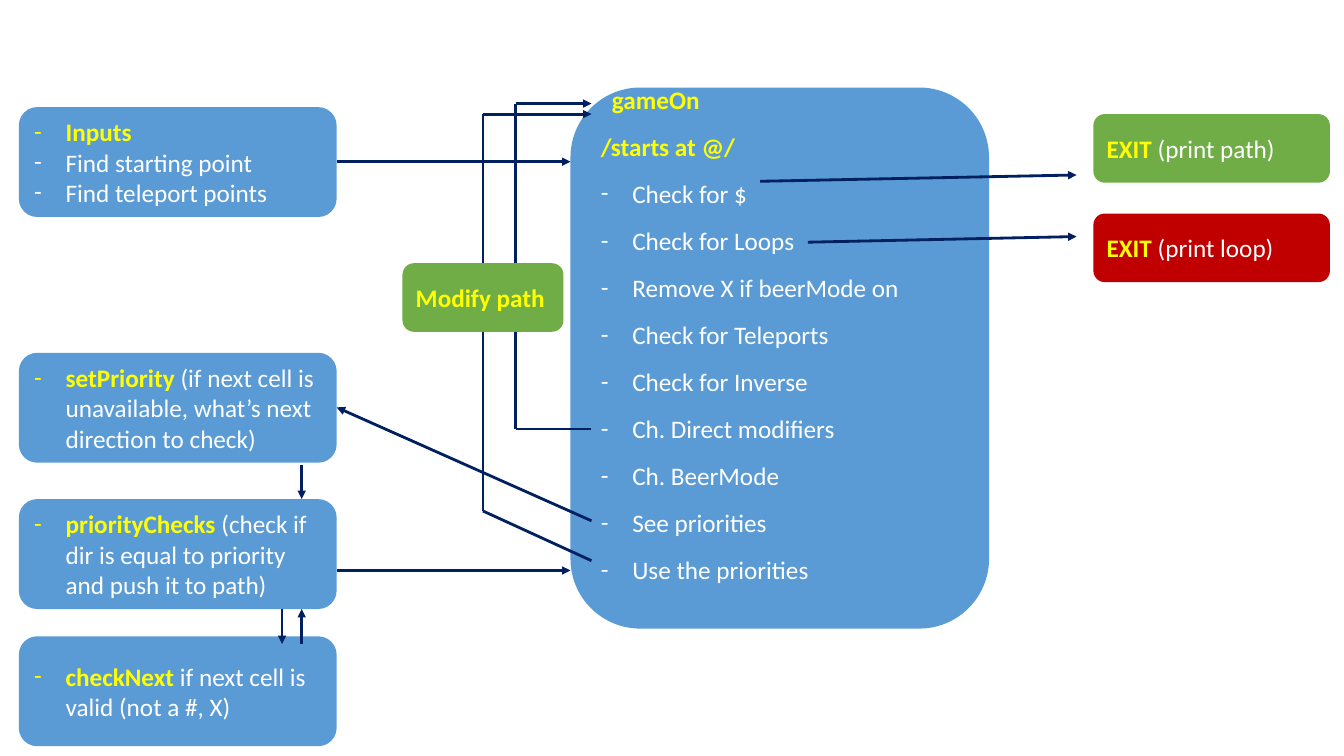
"""Build the game flow diagram slide."""
from lxml import etree
from pptx import Presentation
from pptx.dml.color import RGBColor
from pptx.enum.shapes import MSO_CONNECTOR, MSO_SHAPE
from pptx.enum.text import MSO_ANCHOR, PP_ALIGN
from pptx.oxml.ns import qn
from pptx.util import Pt

STRAIGHT, ROUNDED = MSO_CONNECTOR.STRAIGHT, MSO_SHAPE.ROUNDED_RECTANGLE
MIDDLE, LEFT = MSO_ANCHOR.MIDDLE, PP_ALIGN.LEFT
BLUE, GREEN, RED = "5B9BD5", "70AD47", "C00000"
NAVY, YELLOW, WHITE = "002060", "FFFF00", "FFFFFF"
FONT, SIZE, INDENT, GAP, LINE = "Calibri", 18, 22.5, 12, 21.6

# Each paragraph is (key words, plain words).
STEPS = [
    (76.5, [("Inputs", ""), ("", "Find starting point"), ("", "Find teleport points")]),
    (252, [("setPriority ", "(if next cell is unavailable, what’s next direction to check)")]),
    (356.5, [("priorityChecks ", "(check if dir is equal to priority and push it to path)")]),
    (454.5, [("checkNext ", "if next cell is valid (not a #, X)")]),
]
GAME_HEAD = [("gameOn", 8), ("/starts at @/", 0)]
GAME_CHECKS = [
    "Check for $", "Check for Loops", "Remove X if beerMode on", "Check for Teleports",
    "Check for Inverse", "Ch. Direct modifiers", "Ch. BeerMode", "See priorities",
    "Use the priorities",
]
EXITS = [(81.5, GREEN, "(print path)"), (152.5, RED, "(print loop)")]

STEP_X, STEP_W, STEP_H = 13.5, 227, 78.5
GAME_X, GAME_Y, GAME_W, GAME_H = 407.5, 62.5, 299, 386.5
EXIT_X, EXIT_W, TAG_H = 781, 169, 49
STEP_R = STEP_X + STEP_W
PORT_X, EXIT_TIP = 422.5, 769
DOWN_X, NEXT_X = 215.5, 201.5

ARROWS = [
    [(STEP_R, 115.5), (GAME_X, 115.5)],
    [(PORT_X, 306.5), (368.5, 306.5), (368.5, 74), (PORT_X, 74)],
    [(577, 173), (EXIT_TIP, 169)],
    [(543, 129.5), (EXIT_TIP, 125)],
    [(PORT_X, 372), (STEP_R, 291)],
    [(DOWN_X, 332), (DOWN_X, 356.5)],
    [(STEP_R, 407.5), (GAME_X, 407.5)],
    [(NEXT_X, 435), (NEXT_X, 460)],
    [(DOWN_X, 460), (DOWN_X, 435)],
    [(PORT_X, 400.5), (345, 365), (345, 81.5), (PORT_X, 81.5)],
]


def rgb(value):
    """Turn a hex string into a colour."""
    return RGBColor.from_string(value)


def add_box(x, y, w, h, fill):
    """Add a plain rounded box and return its text frame."""
    sp = s.shapes.add_shape(ROUNDED, Pt(x), Pt(y), Pt(w), Pt(h))
    sp.shadow.inherit = False
    sp.fill.solid()
    sp.fill.fore_color.rgb = rgb(fill)
    sp.line.fill.background()
    tf = sp.text_frame
    tf.word_wrap = True
    tf.vertical_anchor = MIDDLE
    return tf


def add_paragraph(tf, key, plain="", bullet=False, before=0, margin=0):
    """Write yellow key words and white plain words into a new paragraph."""
    p = tf.paragraphs[0] if not tf.text else tf.add_paragraph()
    p.alignment = LEFT
    p.space_before = Pt(before)
    pPr = p._p.get_or_add_pPr()
    pPr.set("marL", str(Pt(INDENT if bullet else margin)))
    pPr.set("indent", str(Pt(-INDENT if bullet else 0)))
    if bullet:
        etree.SubElement(pPr, qn("a:buFont")).set("typeface", FONT)
        etree.SubElement(pPr, qn("a:buChar")).set("char", "-")
    for text, colour, bold in ((key, YELLOW, True), (plain, WHITE, False)):
        if text:
            r = p.add_run()
            r.text = text
            r.font.name, r.font.size, r.font.bold = FONT, Pt(SIZE), bold
            r.font.color.rgb = rgb(colour)


def add_arrow(points):
    """Join the points with lines and put an arrowhead on the last one."""
    for start, end in zip(points, points[1:]):
        line = s.shapes.add_connector(STRAIGHT, *map(Pt, start + end))
        line.line.color.rgb = rgb(NAVY)
        line.line.width = Pt(2)
        if end == points[-1]:
            etree.SubElement(line.line._get_or_add_ln(), qn("a:tailEnd")).set("type", "triangle")
        etree.SubElement(line._element.spPr, qn("a:effectLst"))


prs = Presentation()
prs.slide_width, prs.slide_height = Pt(960), Pt(540)
s = prs.slides.add_slide(prs.slide_layouts[6])

for y, paragraphs in STEPS:
    tf = add_box(STEP_X, y, STEP_W, STEP_H, BLUE)
    for key, plain in paragraphs:
        add_paragraph(tf, key, plain, bullet=True)

tf = add_box(GAME_X, GAME_Y, GAME_W, GAME_H, BLUE)
tf.margin_bottom += Pt(LINE + GAP)
for key, margin in GAME_HEAD:
    add_paragraph(tf, key, before=GAP, margin=margin)
for check in GAME_CHECKS:
    add_paragraph(tf, "", check, bullet=True, before=GAP)

for y, fill, result in EXITS:
    add_paragraph(add_box(EXIT_X, y, EXIT_W, TAG_H, fill), "EXIT ", result)

for points in ARROWS:
    add_arrow(points)

add_paragraph(add_box(287.5, 188, 115, TAG_H, GREEN), "Modify path")

prs.save("out.pptx")
